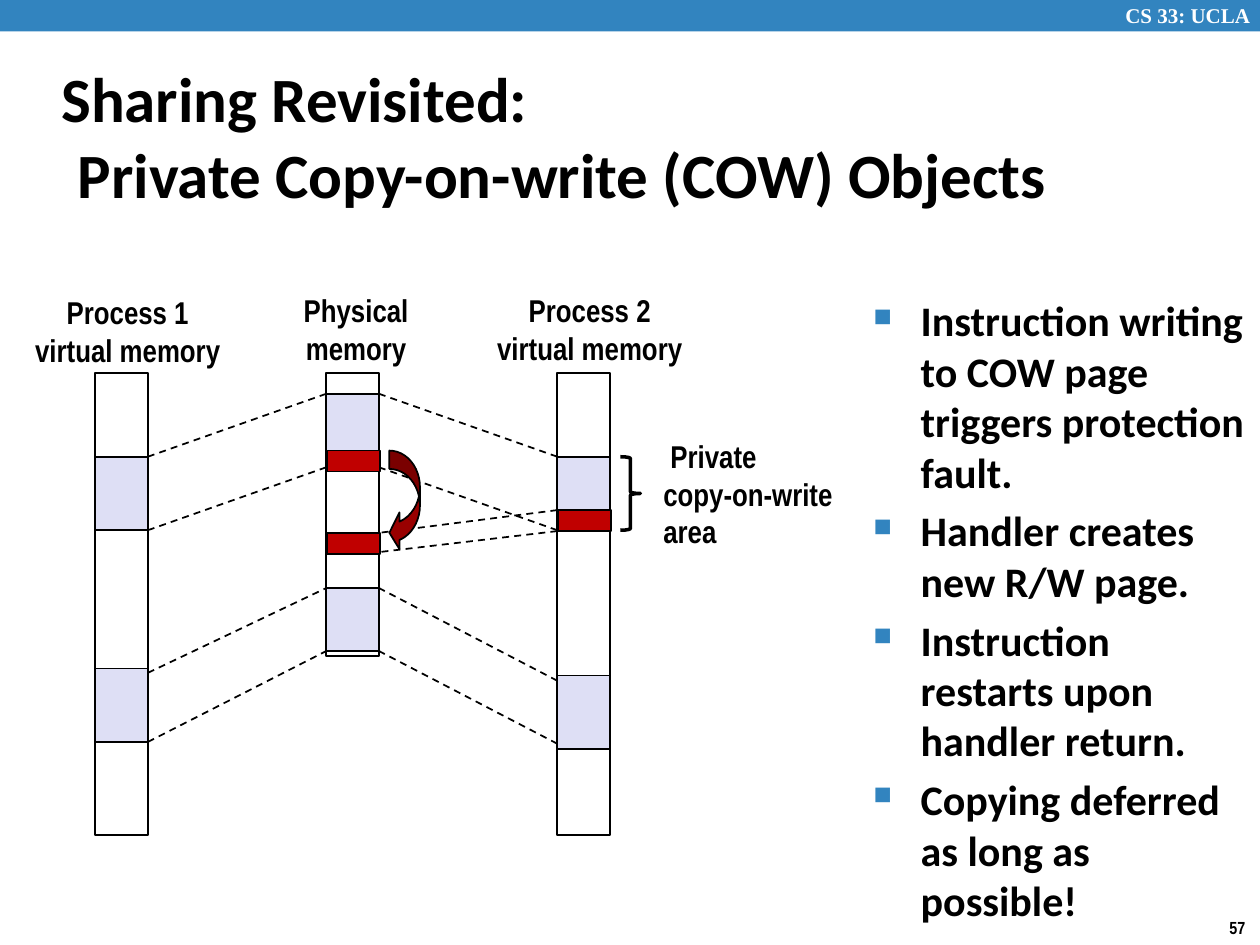
"""Build the slide on private copy-on-write objects in shared memory."""
from lxml import etree
from pptx import Presentation
from pptx.dml.color import RGBColor
from pptx.enum.dml import MSO_LINE
from pptx.enum.shapes import MSO_CONNECTOR, MSO_SHAPE
from pptx.enum.text import MSO_ANCHOR, PP_ALIGN
from pptx.oxml.ns import qn
from pptx.util import Pt

RECTANGLE = MSO_SHAPE.RECTANGLE
STRAIGHT = MSO_CONNECTOR.STRAIGHT
DASH = MSO_LINE.DASH
TOP, MIDDLE = MSO_ANCHOR.TOP, MSO_ANCHOR.MIDDLE
LEFT, CENTER = PP_ALIGN.LEFT, PP_ALIGN.CENTER
COLORS = {"black": "000000", "white": "FFFFFF", "blue": "3284BF",
          "lavender": "DEDFF5", "red": "C00000", "arrow": "990000"}

presentation = Presentation()
presentation.slide_width, presentation.slide_height = Pt(720), Pt(540)
slide = presentation.slides.add_slide(presentation.slide_layouts[6])


def add_shape(kind, box, fill=None, line_width=1):
    shape = slide.shapes.add_shape(kind, *map(Pt, box))
    shape.shadow.inherit = False
    if fill:
        shape.fill.solid()
        shape.fill.fore_color.rgb = RGBColor.from_string(COLORS[fill])
    else:
        shape.fill.background()
    if line_width:
        shape.line.color.rgb = RGBColor.from_string(COLORS["black"])
        shape.line.width = Pt(line_width)
    else:
        shape.line.fill.background()
    return shape


def add_text(box, text, size, font="Arial Narrow", color="black",
             align=LEFT, anchor=TOP, wrap=False, indent=0, bullet=False):
    text_frame = slide.shapes.add_textbox(*map(Pt, box)).text_frame
    text_frame.word_wrap = wrap
    text_frame.vertical_anchor = anchor
    text_frame.text = text
    for index, paragraph in enumerate(text_frame.paragraphs):
        paragraph.alignment = align
        properties = paragraph._p.get_or_add_pPr()
        if indent:
            properties.set("marL", str(Pt(indent)))
            properties.set("indent", str(Pt(-indent)))
        if bullet:
            if index:
                paragraph.space_before = Pt(size * 0.2)
            bullet_color = etree.SubElement(properties, qn("a:buClr"))
            etree.SubElement(bullet_color, qn("a:srgbClr"), val=COLORS["blue"])
            etree.SubElement(properties, qn("a:buSzPct"), val="60000")
            etree.SubElement(properties, qn("a:buChar"), char="■")
        for run in paragraph.runs:
            run.font.size = Pt(size)
            run.font.name = font
            run.font.bold = True
            run.font.color.rgb = RGBColor.from_string(COLORS[color])


add_shape(RECTANGLE, (0, 0, 720, 18), "blue", 0)
add_text((636, -2, 89, 22), "CS 33: UCLA", 12, "Times New Roman", "white")
add_text((695.5, 520.5, 24.5, 19.5), "57", 10)
add_text((28, 34.5, 598, 86),
         "Sharing Revisited:\vPrivate Copy-on-write (COW) Objects",
         36, "Calibri", anchor=MIDDLE, wrap=True, indent=9.4)
add_text((492, 165, 228, 330), "\n".join([
    "Instruction writing to COW page triggers protection fault.",
    "Handler creates new R/W page.",
    "Instruction restarts upon handler return.",
    "Copying deferred as long as possible!",
]), 24, "Calibri", wrap=True, indent=27, bullet=True)

COLUMN_TOP, COLUMN_WIDTH = 213, 30
PROCESS_1, PHYSICAL, PROCESS_2 = 54.5, 186.5, 318.5

memory_columns = [
    (PROCESS_1, 264, [(261, 42), (382, 42)]),
    (PHYSICAL, 162, [(225, 42), (336, 36)]),
    (PROCESS_2, 264, [(261, 42), (386, 42)]),
]
for left, height, areas in memory_columns:
    add_shape(RECTANGLE, (left, COLUMN_TOP, COLUMN_WIDTH, height))
    for top, area_height in areas:
        add_shape(RECTANGLE, (left, top, COLUMN_WIDTH, area_height), "lavender")

labels = [
    ((12, 163.5, 122, 51), "Process 1\nvirtual memory", CENTER),
    ((166, 162.5, 75, 51), "Physical\nmemory", CENTER),
    ((276, 162.5, 122, 51), "Process 2\nvirtual memory", CENTER),
    ((372, 245.5, 114, 73), " Private\ncopy-on-write\narea", LEFT),
]
for box, text, align in labels:
    add_text(box, text, 18, align=align, anchor=MIDDLE)

process_1_edge = PROCESS_1 + COLUMN_WIDTH
physical_edge = PHYSICAL + COLUMN_WIDTH
mappings = [
    (process_1_edge, PHYSICAL, [(261, 225), (303, 267), (384.5, 336), (424, 372)]),
    (PROCESS_2, physical_edge, [(261, 225), (303, 267), (389, 336), (425, 372),
                                (291.5, 304.5), (303.5, 315.5)]),
]
for start_x, end_x, heights in mappings:
    for start_y, end_y in heights:
        connector = slide.shapes.add_connector(
            STRAIGHT, Pt(start_x), Pt(start_y), Pt(end_x), Pt(end_y))
        connector.line.color.rgb = RGBColor.from_string(COLORS["black"])
        connector.line.width = Pt(1)
        connector.line.dash_style = DASH
        etree.SubElement(connector._element.spPr, qn("a:effectLst"))

add_shape(MSO_SHAPE.RIGHT_BRACE, (354.5, 261, 11.5, 42), line_width=2)
copy_arrow = add_shape(MSO_SHAPE.CURVED_LEFT_ARROW, (222.5, 257.5, 17.5, 57.5), "arrow")
for index, value in enumerate((0.6, 1.2, 0.33)):
    copy_arrow.adjustments[index] = value
for left, top in [(PROCESS_2, 291.5), (PHYSICAL, 304.5), (PHYSICAL, 257.5)]:
    add_shape(RECTANGLE, (left + 0.5, top, COLUMN_WIDTH, 12), "red")

presentation.save("out.pptx")
